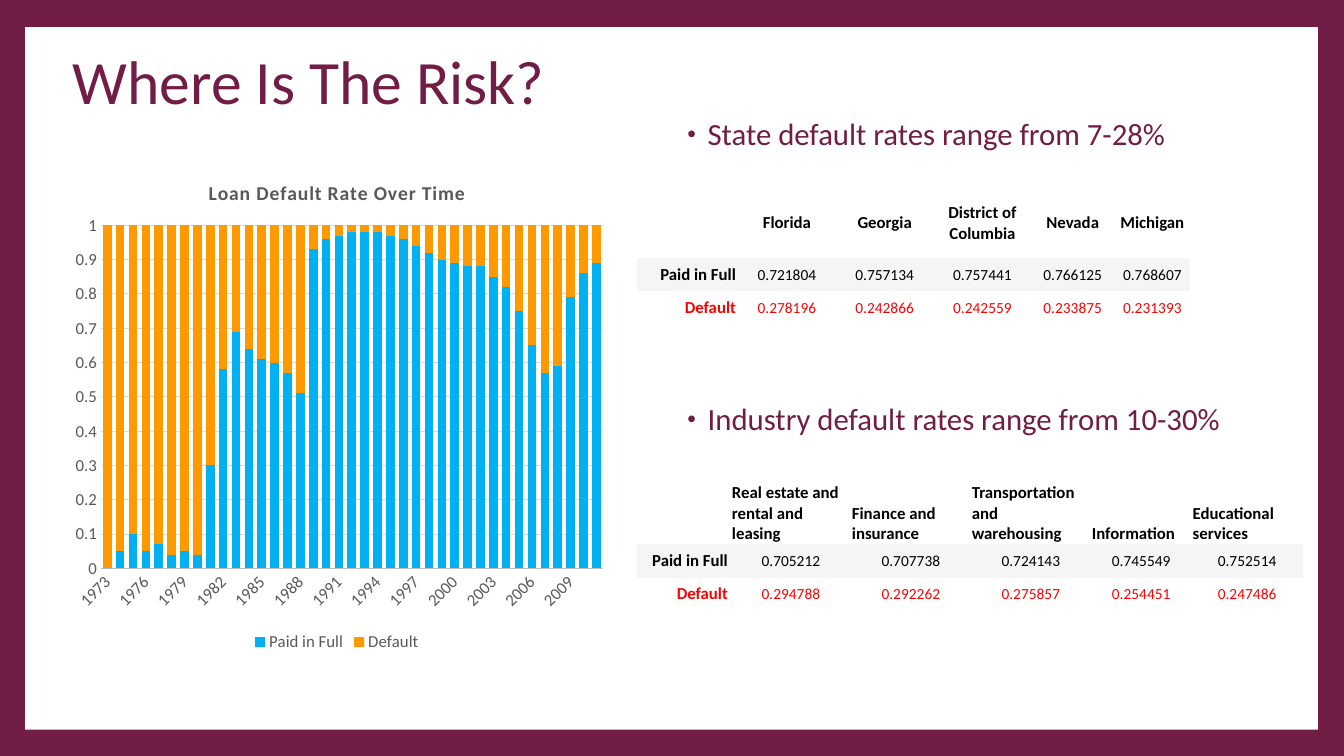
from lxml.etree import SubElement
from pptx import Presentation
from pptx.chart.data import CategoryChartData
from pptx.dml.color import RGBColor
from pptx.enum.chart import XL_CHART_TYPE as Kind, XL_LEGEND_POSITION as Spot, XL_TICK_MARK as Tick
from pptx.enum.shapes import MSO_SHAPE as Shape
from pptx.enum.text import MSO_ANCHOR as Anchor, PP_ALIGN as Align
from pptx.oxml import parse_xml
from pptx.oxml.ns import nsdecls, qn
from pptx.util import Inches, Pt

# Content
PLUM, GREY, BAND, RED = "711D45", "595959", "F5F5F5", "FF0000"
FONT = "Calibri"
TITLE = "Where Is The Risk?"
HEAD = "Loan Default Rate Over Time"
YEARS = [str(y) for y in range(1973, 2012)]
PAID = [0, .05, .1, .05, .07, .04, .05, .04, .3, .58, .69, .64, .61,
        .6, .57, .51, .93, .96, .97, .98, .98, .98, .97, .96, .94, .92,
        .9, .89, .88, .88, .85, .82, .75, .65, .57, .59, .79, .86, .89]
SERIES = [("Paid in Full", PAID, "00B0F0"),
          ("Default", [round(1 - v, 2) for v in PAID], "FF9900")]
BULLETS = [("State default rates range from 7-28%", (6.67, 1.13, 5.49, .82)),
           ("Industry default rates range from 10-30%", (6.67, 3.96, 5.89, .57))]
STATES = [
    ["", "Florida", "Georgia", "District of Columbia", "Nevada", "Michigan"],
    ["Paid in Full", "0.721804", "0.757134", "0.757441", "0.766125", "0.768607"],
    ["Default", "0.278196", "0.242866", "0.242559", "0.233875", "0.231393"]]
TRADES = [
    ["", "Real estate and rental and leasing", "Finance and insurance",
     "Transportation and warehousing", "Information", "Educational services"],
    ["Paid in Full", "0.705212", "0.707738", "0.724143", "0.745549", "0.752514"],
    ["Default", "0.294788", "0.292262", "0.275857", "0.254451", "0.247486"]]
# rows, top, column widths, head height, head anchor, head alignment
TABLES = [
    (STATES, 1.87, [1.01, .95, .99, .95, .84, .74], .69, Anchor.MIDDLE, Align.CENTER),
    (TRADES, 4.77, [.93, 1.19, 1.19, 1.19, 1, 1.1], .63, Anchor.BOTTOM, Align.LEFT)]
LEFT, ROW = 6.32, .33
WIDE, TIGHT = (.03, .02, .03, .02), (.01, .01, .01, 0)
NO_GRID = "{2D5ABB26-0587-4C30-8999-92F81FD0307C}"


def rgb(code):
    return RGBColor.from_string(code)


def box(*nums):
    return [Inches(n) for n in nums]


def style(font, size, color, bold=False):
    font.name, font.size, font.bold = FONT, Pt(size), bold
    font.color.rgb = rgb(color)


def pad(part, sides):
    part.margin_left, part.margin_top, part.margin_right, part.margin_bottom = box(*sides)


def layout(x, y, w=None, h=None):
    tags = [("xMode", "edge"), ("yMode", "edge"), ("x", x), ("y", y)]
    if w:
        tags = [("layoutTarget", "inner")] + tags + [("w", w), ("h", h)]
    body = "".join(f'<c:{t} val="{v}"/>' for t, v in tags)
    return parse_xml(f'<c:layout {nsdecls("c")}><c:manualLayout>{body}</c:manualLayout></c:layout>')


def place(host, node, after):
    for old in host.findall(qn("c:layout")):
        host.remove(old)
    host.insert(after, node)


def add_bullet(text, spot):
    frame = slide.shapes.add_textbox(*box(*spot)).text_frame
    frame.word_wrap = True
    para = frame.paragraphs[0]
    para.text, para.line_spacing, para.space_before = text, .9, Pt(14)
    style(para.font, 22, PLUM)
    props = para._p.get_or_add_pPr()
    props.set("marL", str(Inches(.25)))
    props.set("indent", str(Inches(-.2)))
    tint = SubElement(props, qn("a:buClr"))
    SubElement(tint, qn("a:srgbClr"), val=PLUM)
    SubElement(props, qn("a:buSzPct"), val="80000")
    SubElement(props, qn("a:buFont"), typeface="Arial")
    SubElement(props, qn("a:buChar"), char="•")
    props.append(props.find(qn("a:defRPr")))


def add_grid(rows, top, widths, head, anchor, align):
    high = [head, ROW, ROW]
    table = slide.shapes.add_table(3, 6, *box(LEFT, top, sum(widths), sum(high))).table
    table.first_row = table.horz_banding = False
    table._tbl.tblPr.find(qn("a:tableStyleId")).text = NO_GRID
    for col, w in zip(table.columns, widths):
        col.width = Inches(w)
    for r, line in enumerate(rows):
        table.rows[r].height = Inches(high[r])
        for c, text in enumerate(line):
            cell = table.cell(r, c)
            para = cell.text_frame.paragraphs[0]
            label = r == 0 or c == 0
            loose = c == 0 or (r == 0 and anchor == Anchor.MIDDLE)
            pad(cell, WIDE if loose else TIGHT)
            cell.vertical_anchor = Anchor.MIDDLE if r else anchor
            para.text = text
            para.alignment = Align.RIGHT if c == 0 else Align.CENTER if r else align
            style(para.font, 12 if label else 11, RED if r == 2 else "000000", label)
            if r == 1:
                cell.fill.solid()
                cell.fill.fore_color.rgb = rgb(BAND)
            else:
                cell.fill.background()


def add_bars():
    data = CategoryChartData()
    data.categories = YEARS
    for name, vals, _ in SERIES:
        data.add_series(name, vals)
    chart = slide.shapes.add_chart(
        Kind.COLUMN_STACKED, *box(.62, 1.54, 5.44, 4.97), data).chart
    style(chart.font, 12, GREY)

    # Heading and legend
    para = chart.chart_title.text_frame.paragraphs[0]
    para.text = HEAD
    style(para.font, 14, GREY, True)
    para.font._element.set("spc", "50")
    chart.chart_title.include_in_layout = False
    place(chart.chart_title._element, layout(.26, .04), 1)
    chart.has_legend = True
    chart.legend.position = Spot.BOTTOM
    chart.legend.include_in_layout = False
    style(chart.legend.font, 12, GREY)

    # Bars
    plot = chart.plots[0]
    plot.gap_width, plot.overlap, plot.vary_by_categories = 50, 100, False
    for bar, (_, _, color) in zip(plot.series, SERIES):
        bar.format.fill.solid()
        bar.format.fill.fore_color.rgb = rgb(color)
    place(chart._chartSpace.chart.plotArea, layout(.07, .14, .915, .685), 0)

    # Axes
    years, rates = chart.category_axis, chart.value_axis
    for axis in (years, rates):
        axis.major_tick_mark = axis.minor_tick_mark = Tick.NONE
        style(axis.tick_labels.font, 12, GREY)
    years.format.line.color.rgb = rgb("BFBFBF")
    years.format.line.width = Pt(.75)
    years._element.find(qn("c:txPr")).find(qn("a:bodyPr")).set("rot", "-2700000")
    skip = parse_xml(f'<c:tickLblSkip {nsdecls("c")} val="3"/>')
    years._element.find(qn("c:noMultiLvlLbl")).addprevious(skip)
    rates.minimum_scale, rates.maximum_scale, rates.major_unit = 0, 1, .1
    rates.tick_labels.number_format = "General"
    rates.tick_labels.number_format_is_linked = False
    rates.format.line.fill.background()
    rates.major_gridlines.format.line.color.rgb = rgb("D9D9D9")
    rates.major_gridlines.format.line.width = Pt(.75)


# Slide, frame and title
deck = Presentation()
deck.slide_width, deck.slide_height = box(13.33, 7.5)
slide = deck.slides.add_slide(deck.slide_layouts[5])
slide.background.fill.solid()
slide.background.fill.fore_color.rgb = rgb(PLUM)
page = slide.shapes.add_shape(Shape.RECTANGLE, *box(.25, .27, 12.82, 6.97))
page.shadow.inherit = False
page.fill.solid()
page.fill.fore_color.rgb = rgb("FFFFFF")
page.line.fill.background()
title = slide.shapes.title
title._element.addprevious(page._element)
title.left, title.top, title.width, title.height = box(.62, .46, 10.8, 1.17)
title.text_frame.vertical_anchor = Anchor.TOP
para = title.text_frame.paragraphs[0]
para.text, para.alignment, para.line_spacing = TITLE, Align.LEFT, .9
style(para.font, 44, PLUM)

# Body
for bullet in BULLETS:
    add_bullet(*bullet)
for grid in TABLES:
    add_grid(*grid)
add_bars()

deck.save("out.pptx")
